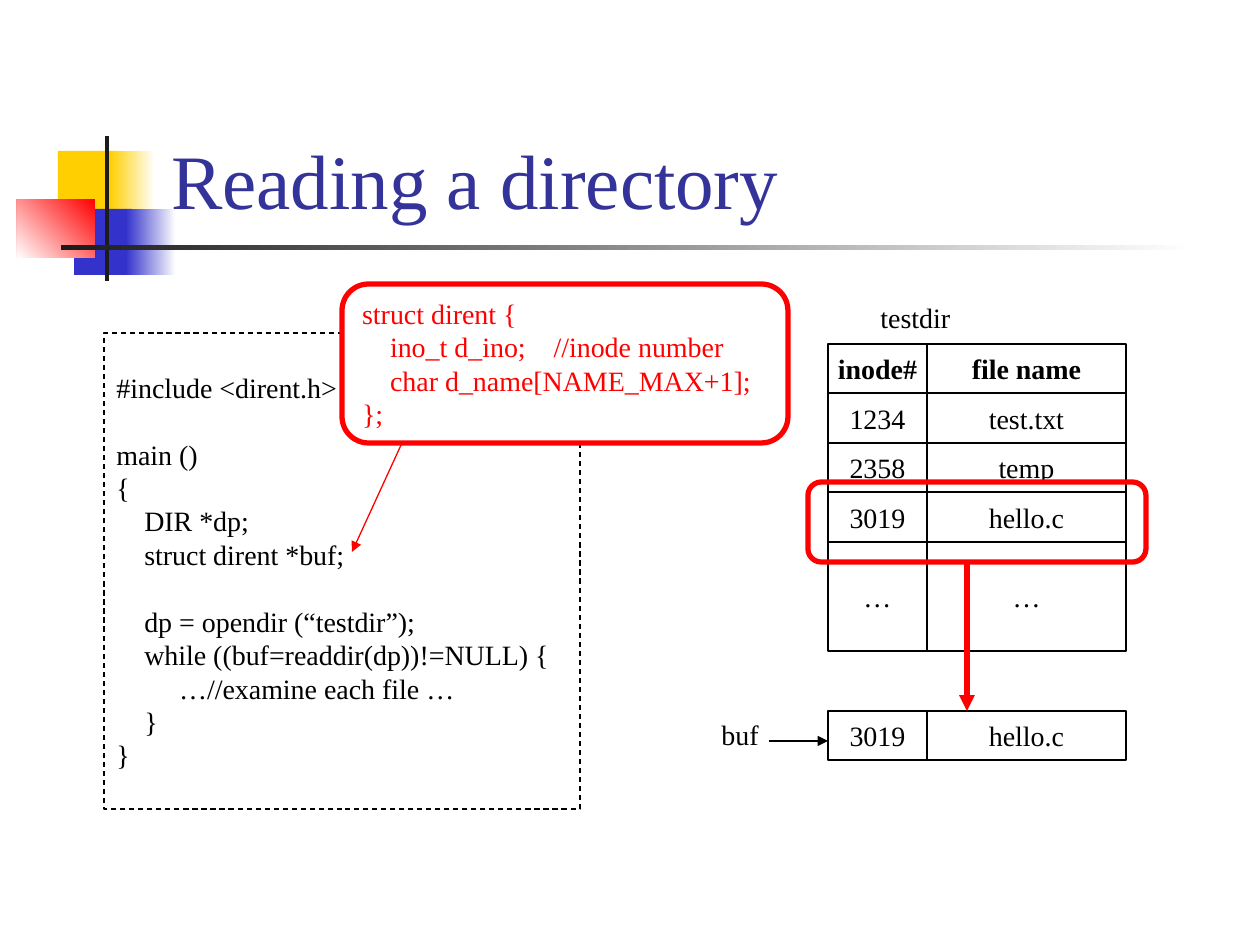
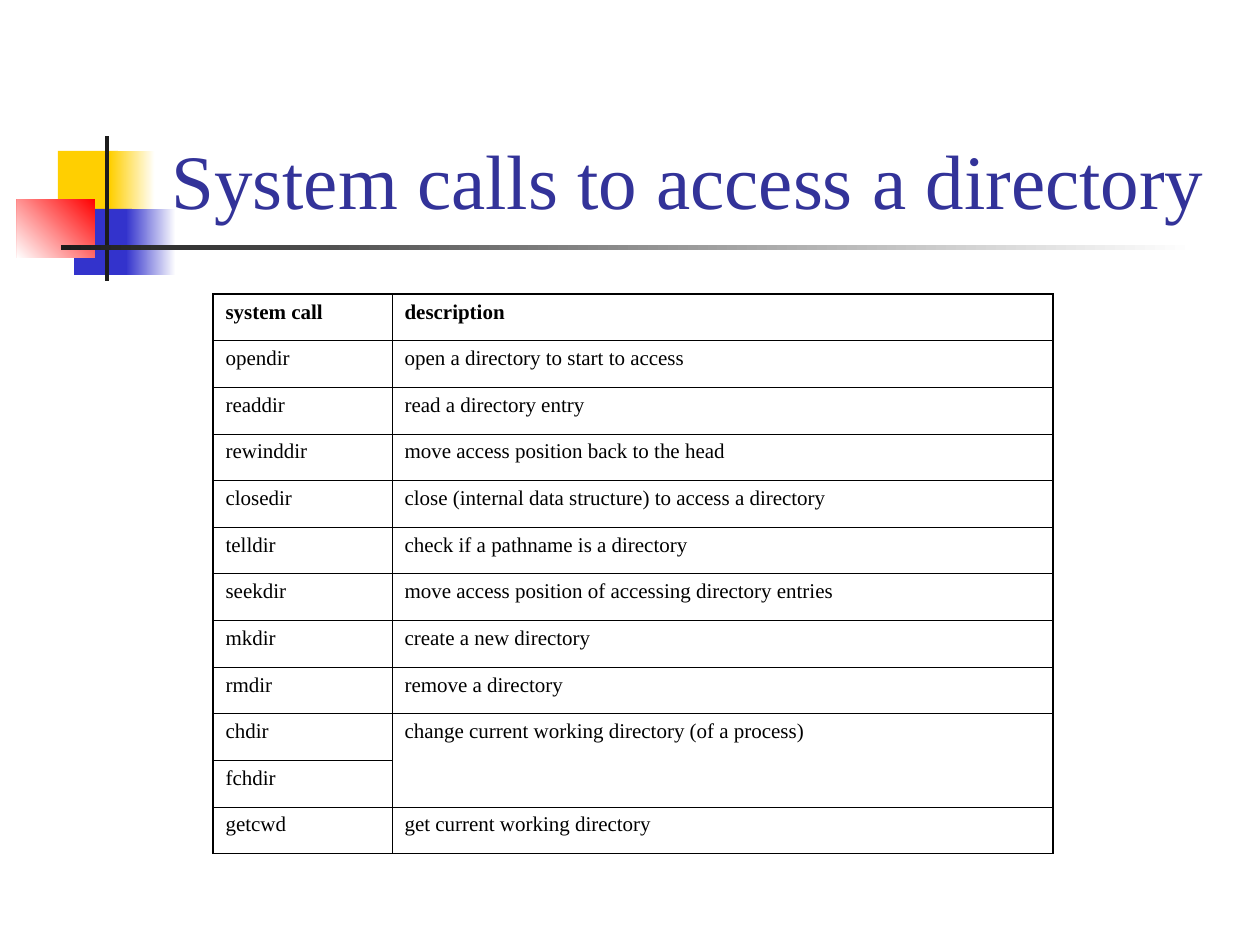
from pptx import Presentation
from pptx.dml.color import RGBColor
from pptx.enum.dml import MSO_LINE
from pptx.enum.shapes import MSO_CONNECTOR, MSO_SHAPE
from pptx.enum.text import MSO_ANCHOR, PP_ALIGN
from pptx.oxml.ns import qn
from pptx.util import Emu, Pt
from lxml.etree import SubElement

# Shared style
FONT = "Times New Roman"
BLACK, WHITE, RED = "000000", "FFFFFF", "FF0000"
TITLE, YELLOW, BLUE, DARK = "333399", "FFCF01", "3333CC", "1C1C1C"
LINE_PITCH = 19.1
RECT, ROUND = MSO_SHAPE.RECTANGLE, MSO_SHAPE.ROUNDED_RECTANGLE

# Emblem beside the title: box, fill (a pair of colours and an angle is a gradient)
EMBLEM = [
    ((58, 151, 60, 65), YELLOW),
    ((110, 151, 45, 65), (WHITE, YELLOW, 180)),
    ((74, 209, 58, 66), BLUE),
    ((126, 209, 50, 66), (WHITE, BLUE, 180)),
    ((17, 199, 78, 59), (RED, WHITE, 135)),
    ((105, 136, 4, 145), DARK),
    ((61, 245, 1134, 5), (WHITE, DARK, 180)),
]
TITLE_BOX = (159, 29, 1074, 202)

# Slide 1 content
PROGRAM = """#include <dirent.h>

main ()
{
    DIR *dp;
    struct dirent *buf;

    dp = opendir (“testdir”);
    while ((buf=readdir(dp))!=NULL) {
         …//examine each file …
    }
}"""
STRUCT = """struct dirent {
    ino_t d_ino;    //inode number
    char d_name[NAME_MAX+1];
};"""
ENTRY = ("3019", "hello.c")
DIRECTORY = [  # row height, cells
    (49, ("inode#", "file name")),
    (50, ("1234", "test.txt")),
    (49, ("2358", "temp")),
    (50, ENTRY),
    (109, ("…", "…")),
]
DIR_LEFT, DIR_TOP, BUF_TOP = 828, 344, 711
DIR_COLS = (99, 199)

# Slide 2 content
CALLS = [
    ("system call", "description"),
    ("opendir", "open a directory to start to access"),
    ("readdir", "read a directory entry"),
    ("rewinddir", "move access position back to the head"),
    ("closedir", "close (internal data structure) to access a directory"),
    ("telldir", "check if a pathname is a directory"),
    ("seekdir", "move access position of accessing directory entries"),
    ("mkdir", "create a new directory"),
    ("rmdir", "remove a directory"),
    ("chdir", "change current working directory (of a process)"),
    ("fchdir", None),  # shares the description above
    ("getcwd", "get current working directory"),
]
CALLS_BOX = (213, 294, 840, 560)
CALL_COL = 179
OUTER, INNER = 1.08, 0.45


def px(n):
    return Emu(round(n * 914400 / 126))


def rgb(color):
    return RGBColor.from_string(color)


def write(tf, text, size=16, color=BLACK, bold=False, align=PP_ALIGN.LEFT, pitch=None):
    """One paragraph a line; an empty line becomes space before the next one."""
    gap, p = 0, None
    for line in text.split("\n"):
        if not line:
            gap += pitch
            continue
        p = tf.add_paragraph() if p is not None else tf.paragraphs[0]
        p.alignment = align
        if pitch:
            p.line_spacing = Pt(pitch)
        if gap:
            p.space_before = Pt(gap)
        gap = 0
        r = p.add_run()
        r.text = line
        r.font.name, r.font.size, r.font.bold = FONT, Pt(size), bold
        r.font.color.rgb = rgb(color)


def add_box(slide, box, kind=RECT, fill=None, line=None, width=0.75, dash=None):
    sp = slide.shapes.add_shape(kind, *map(px, box))
    sp.shadow.inherit = False
    if fill is None:
        sp.fill.background()
    elif isinstance(fill, tuple):
        *colors, angle = fill
        sp.fill.gradient()
        sp.fill.gradient_angle = 360 - angle
        for stop, color in zip(sp.fill.gradient_stops, colors):
            stop.color.rgb = rgb(color)
    else:
        sp.fill.solid()
        sp.fill.fore_color.rgb = rgb(fill)
    if line:
        sp.line.color.rgb = rgb(line)
        sp.line.width = Pt(width)
        if dash:
            sp.line.dash_style = dash
    else:
        sp.line.fill.background()
    return sp


def add_text(sp, text, wrap=True, anchor=MSO_ANCHOR.MIDDLE, **fmt):
    tf = sp.text_frame
    tf.word_wrap, tf.vertical_anchor = wrap, anchor
    write(tf, text, **fmt)


def add_label(slide, box, text, **fmt):
    add_text(slide.shapes.add_textbox(*map(px, box)), text, **fmt)


def add_arrow(slide, start, end, color, width=0.75):
    cn = slide.shapes.add_connector(MSO_CONNECTOR.STRAIGHT, *map(px, start + end))
    cn.line.color.rgb = rgb(color)
    cn.line.width = Pt(width)
    SubElement(cn.line._get_or_add_ln(), qn("a:tailEnd"), type="triangle")
    SubElement(cn._element.spPr, qn("a:effectLst"))


def add_entry(slide, top, height, cells, bold=False):
    left = DIR_LEFT
    for text, width in zip(cells, DIR_COLS):
        sp = add_box(slide, (left, top, width, height), line=BLACK)
        add_text(sp, text, wrap=False, bold=bold, align=PP_ALIGN.CENTER, pitch=LINE_PITCH)
        left += width


def set_borders(cell, **widths):
    tcPr = cell._tc.get_or_add_tcPr()
    for side in "LRTB":
        ln = SubElement(tcPr, qn("a:ln" + side), w=str(Pt(widths[side])))
        SubElement(SubElement(ln, qn("a:solidFill")), qn("a:srgbClr"), val=BLACK)


def new_slide(prs, title):
    slide = prs.slides.add_slide(prs.slide_layouts[6])
    for box, fill in EMBLEM:
        add_box(slide, box, fill=fill)
    add_label(slide, TITLE_BOX, title, anchor=MSO_ANCHOR.BOTTOM, size=44, color=TITLE)
    return slide


def reading_slide(prs):
    slide = new_slide(prs, "Reading a directory")

    # Program listing
    sp = add_box(slide, (104, 333, 476, 476), line=BLACK, dash=MSO_LINE.DASH)
    add_text(sp, PROGRAM, pitch=LINE_PITCH)

    # Directory contents
    top = DIR_TOP
    for i, (height, cells) in enumerate(DIRECTORY):
        add_entry(slide, top, height, cells, bold=i == 0)
        top += height
    add_label(slide, (868, 294, 95, 47), "testdir", wrap=False, pitch=LINE_PITCH)

    # Structure behind buf
    sp = add_box(slide, (342, 284, 446, 159), ROUND, fill=WHITE, line=RED, width=3)
    add_text(sp, STRUCT, color=RED, pitch=LINE_PITCH)
    add_arrow(slide, (402, 443), (352, 552), RED)

    # Entry read into buf
    add_entry(slide, BUF_TOP, 49, ENTRY)
    add_label(slide, (709, 711, 62, 47), "buf", wrap=False, pitch=LINE_PITCH)
    add_arrow(slide, (769, 741), (DIR_LEFT, 741), BLACK)
    add_box(slide, (808, 482, 338, 80), ROUND, line=RED, width=3)
    add_arrow(slide, (967, 562), (967, BUF_TOP), RED, width=3)


def calls_slide(prs):
    slide = new_slide(prs, "System calls to access a directory")
    rows, last = len(CALLS), len(CALLS) - 1
    table = slide.shapes.add_table(rows, 2, *map(px, CALLS_BOX)).table
    table.first_row = table.horz_banding = False
    width, height = CALLS_BOX[2:]
    table.columns[0].width, table.columns[1].width = px(CALL_COL), px(width - CALL_COL)
    for i, texts in enumerate(CALLS):
        table.rows[i].height = px(height / rows)
        for j, text in enumerate(texts):
            cell = table.cell(i, j)
            set_borders(cell,
                        L=INNER if j else OUTER, R=OUTER if j else INNER,
                        T=INNER if i else OUTER, B=OUTER if i == last else INNER)
            cell.fill.background()
            if text is None:
                table.cell(i - 1, j).merge(cell)
            else:
                write(cell.text_frame, text, size=12, bold=i == 0)


def main():
    prs = Presentation()
    prs.slide_width, prs.slide_height = px(1260), px(945)
    reading_slide(prs)
    calls_slide(prs)
    prs.save("out.pptx")


if __name__ == "__main__":
    main()
